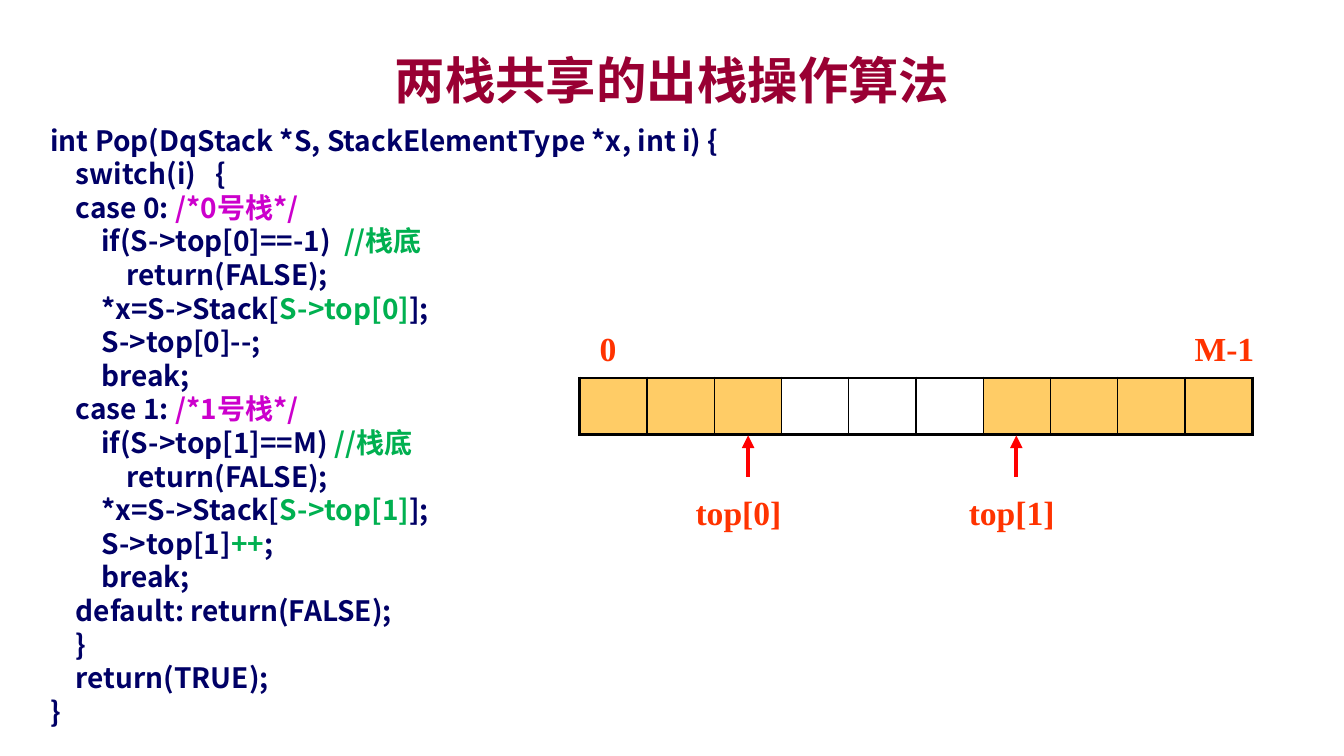
from dataclasses import dataclass

from lxml.etree import SubElement
from pptx import Presentation
from pptx.dml.color import RGBColor
from pptx.enum.shapes import MSO_CONNECTOR as Connector
from pptx.enum.text import MSO_ANCHOR as Anchor, MSO_AUTO_SIZE as AutoSize, PP_ALIGN as Align
from pptx.oxml import parse_xml
from pptx.oxml.ns import nsdecls, qn
from pptx.util import Inches, Pt

COLORS = {
    "title": "990033",
    "code": "000066",
    "comment": "CC00CC",
    "accent": "00B050",
    "label": "FF3300",
    "arrow": "FF0000",
    "used": "FFCC66",
    "border": "000000",
}
SANS = "Noto Sans CJK SC"
SERIF = "Times New Roman"
CELL_COUNT = 10
CELL_WIDTH = 0.667
FREE_CELLS = range(3, 6)
ARRAY_LEFT, ARRAY_TOP, ARRAY_HEIGHT = 5.75, 3.75, 0.56


@dataclass(frozen=True)
class Piece:
    text: str
    color: str = "code"


@dataclass(frozen=True)
class Label:
    text: str
    left: float
    top: float
    width: float


LABELS = [
    Label("top[0]", 6.8, 4.83, 1.42),
    Label("top[1]", 9.51, 4.83, 1.15),
    Label("0", 5.85, 3.2, 1.17),
    Label("M-1", 11.75, 3.2, 1.17),
]
ARROW_XS = [7.42, 10.08]


def stack_case(number: int, test: str, step: Piece) -> list[list[Piece]]:
    top = f"S->top[{number}]"
    return [
        [Piece(f"    case {number}: "), Piece(f"/*{number}号栈*/", "comment")],
        [Piece(f"        if({top}{test}"), Piece("//栈底", "accent")],
        [Piece("            return(FALSE);")],
        [Piece("        *x=S->Stack["), Piece(top, "accent"), Piece("];")],
        [Piece(f"        {top}"), step, Piece(";")],
        [Piece("        break;")],
    ]


CODE = [
    [Piece("int Pop(DqStack *S, StackElementType *x, int i) {")],
    [Piece("    switch(i)   {")],
    *stack_case(0, "==-1)  ", Piece("--")),
    *stack_case(1, "==M) ", Piece("++", "accent")),
    [Piece("    default: return(FALSE);")],
    [Piece("    }")],
    [Piece("    return(TRUE);")],
    [Piece("}")],
]


def set_all(target, values: dict) -> None:
    for key, value in values.items():
        setattr(target, key, value)


def place(shape, left: float, top: float, width: float, height: float) -> None:
    box = {"left": left, "top": top, "width": width, "height": height}
    set_all(shape, {side: Inches(length) for side, length in box.items()})


def add_piece(paragraph, piece: Piece, size: int, face: str) -> None:
    run = paragraph.add_run()
    run.text = piece.text
    set_all(run.font, {"size": Pt(size), "bold": True, "name": face})
    run.font.color.rgb = RGBColor.from_string(COLORS[piece.color])
    SubElement(run.font._element, qn("a:ea"), typeface=face)


def add_title(slide) -> None:
    title = slide.shapes.title
    place(title, 1, 0.58, 11.33, 0.42)
    set_all(title.text_frame, {"vertical_anchor": Anchor.MIDDLE, "auto_size": AutoSize.NONE})
    heading = title.text_frame.paragraphs[0]
    heading.alignment = Align.CENTER
    add_piece(heading, Piece("两栈共享的出栈操作算法", "title"), 36, SANS)


def add_code(slide) -> None:
    body = slide.placeholders[1]
    place(body, 0.4, 1.17, 12.67, 6.08)
    frame = body.text_frame
    set_all(frame, {"vertical_anchor": Anchor.TOP, "auto_size": AutoSize.NONE})
    for index, pieces in enumerate(CODE):
        line = frame.add_paragraph() if index else frame.paragraphs[0]
        set_all(line, {"space_before": Pt(0), "line_spacing": Pt(24), "alignment": Align.LEFT})
        properties = line._p.get_or_add_pPr()
        properties.set("marL", "0")
        properties.set("indent", "0")
        SubElement(properties, qn("a:buNone"))
        for piece in pieces:
            add_piece(line, piece, 20, SANS)


def add_borders(cell, widths: dict[str, float]) -> None:
    properties = cell._tc.get_or_add_tcPr()
    for index, (side, width) in enumerate(widths.items()):
        properties.insert(index, parse_xml(
            f'<a:ln{side} {nsdecls("a")} w="{Pt(width)}"><a:solidFill>'
            f'<a:srgbClr val="{COLORS["border"]}"/></a:solidFill></a:ln{side}>'
        ))


def add_array(slide) -> None:
    array = slide.shapes.add_table(
        1, CELL_COUNT, Inches(ARRAY_LEFT), Inches(ARRAY_TOP),
        Inches(CELL_COUNT * CELL_WIDTH), Inches(ARRAY_HEIGHT),
    ).table
    set_all(array, {"first_row": False, "horz_banding": False})
    last = CELL_COUNT - 1
    for index, cell in enumerate(array.iter_cells()):
        if index in FREE_CELLS:
            cell.fill.background()
        else:
            cell.fill.solid()
            cell.fill.fore_color.rgb = RGBColor.from_string(COLORS["used"])
        add_borders(cell, {
            "L": 2.25 if index == 0 else 1,
            "R": 2.25 if index == last else 1,
            "T": 2.25,
            "B": 2.25,
        })


def add_arrow(slide, x: float) -> None:
    arrow = slide.shapes.add_connector(
        Connector.STRAIGHT, Inches(x), Inches(4.73), Inches(x), Inches(4.32)
    )
    arrow.line.width = Pt(3)
    arrow.line.color.rgb = RGBColor.from_string(COLORS["arrow"])
    SubElement(arrow.line._get_or_add_ln(), qn("a:tailEnd"), type="triangle")
    SubElement(arrow._element.spPr, qn("a:effectLst"))


def add_label(slide, label: Label) -> None:
    box = slide.shapes.add_textbox(
        Inches(label.left), Inches(label.top), Inches(label.width), Inches(0.5)
    )
    set_all(box.text_frame, {"word_wrap": True, "auto_size": AutoSize.SHAPE_TO_FIT_TEXT})
    add_piece(box.text_frame.paragraphs[0], Piece(label.text, "label"), 24, SERIF)


def main() -> None:
    deck = Presentation()
    set_all(deck, {"slide_width": Inches(13.33), "slide_height": Inches(7.5)})
    slide = deck.slides.add_slide(deck.slide_layouts[1])
    add_title(slide)
    add_code(slide)
    add_array(slide)
    for x in ARROW_XS:
        add_arrow(slide, x)
    for label in LABELS:
        add_label(slide, label)
    deck.save("out.pptx")


if __name__ == "__main__":
    main()
